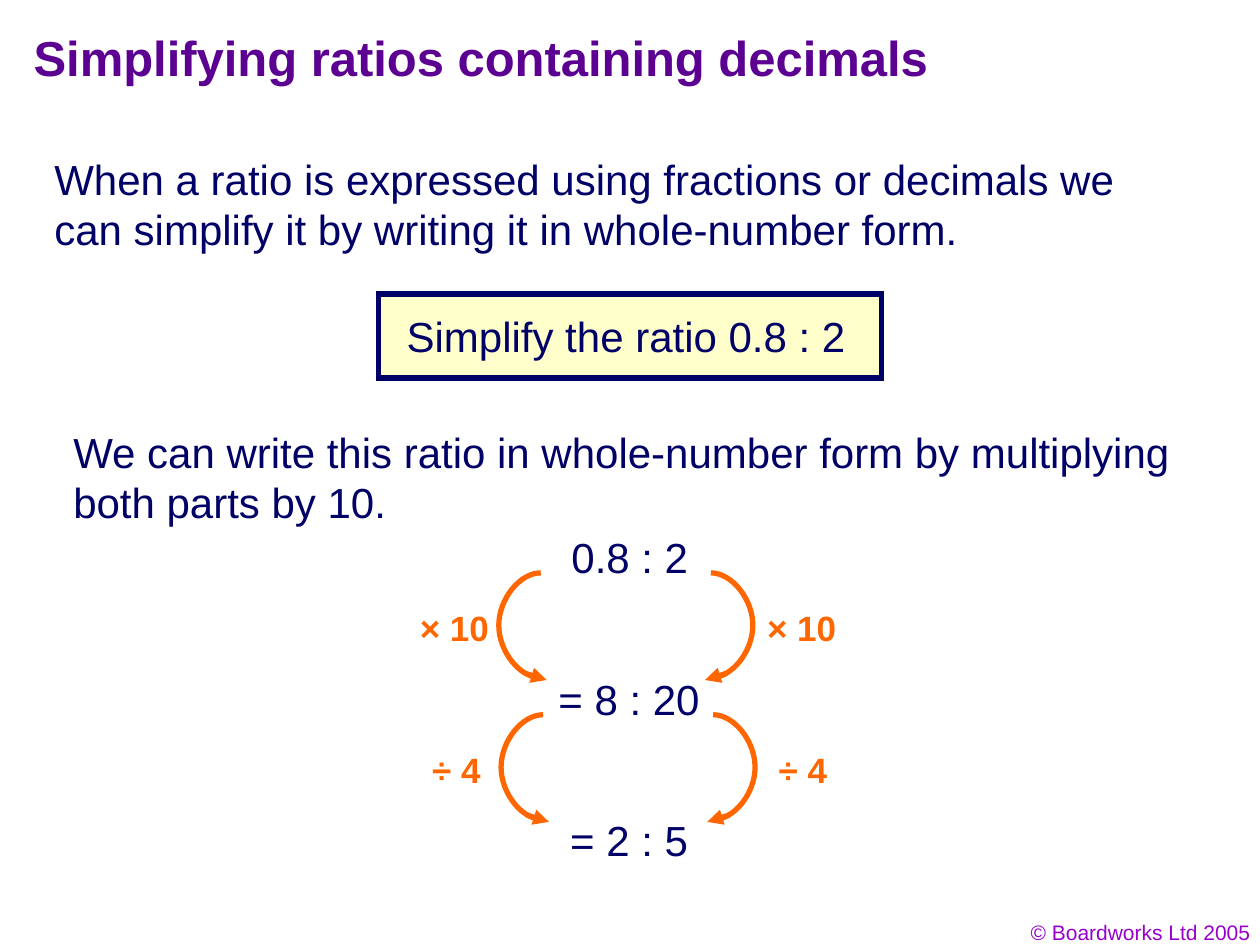
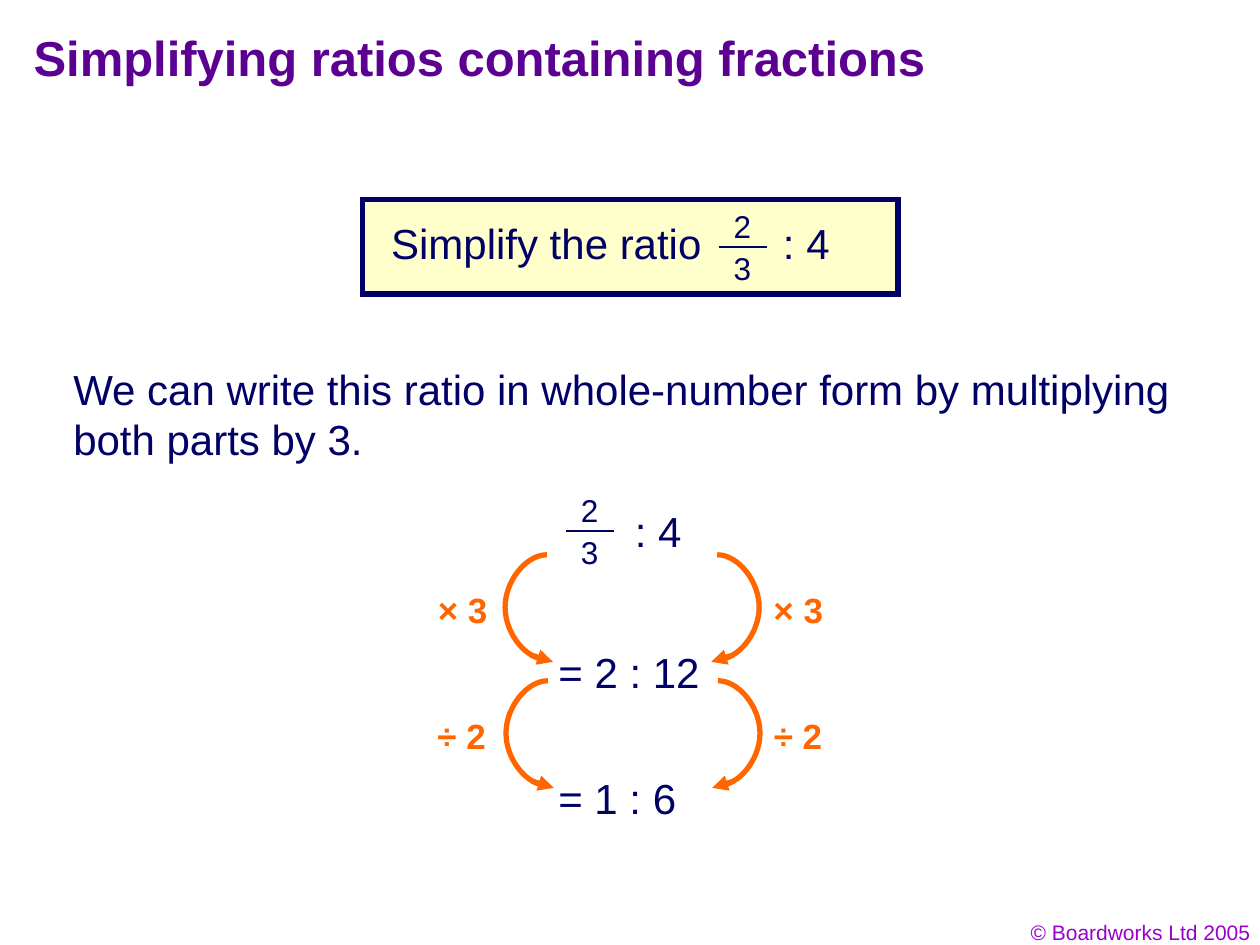
from lxml.etree import SubElement
from pptx import Presentation
from pptx.dml.color import RGBColor
from pptx.enum.shapes import MSO_CONNECTOR as Connector, MSO_SHAPE as Shape
from pptx.enum.text import MSO_ANCHOR as Anchor, MSO_AUTO_SIZE as AutoSize, PP_ALIGN as Align
from pptx.oxml.ns import qn
from pptx.util import Inches, Pt

# Shared look
FONT = "Arial"
PURPLE, VIOLET = "5B0091", "9900CC"
INK, NAVY = "010066", "000066"
CREAM, ORANGE = "FFFFCC", "FF6600"

# The slide is a grid of 100 columns by 75 rows
WIDTH, HEIGHT = Inches(10), Inches(7.5)
CELL = WIDTH / 100

# Arrow proportions, in cells
ARC_WIDTH, ARC_HEIGHT = 3.33, 8.33
ARC_GAP = 6.75  # from the middle of the pair to the open end of each arc
# Start, then two Bezier curves, as shares of the arc's width and height
ARC_POINTS = [(0, 0), (0.5, 0), (1, 0.25), (1, 0.5), (1, 0.75), (0.5, 1), (0, 1)]


def cells(*lengths):
    return [round(length * CELL) for length in lengths]


def rgb(colour):
    return RGBColor.from_string(colour)


def fill_text(frame, text, size=24, colour=INK, bold=False, align=Align.LEFT,
              wrap=True, tab=None):
    frame.auto_size = AutoSize.NONE
    frame.word_wrap = wrap
    frame.vertical_anchor = Anchor.TOP
    paragraph = frame.paragraphs[0]
    paragraph.text = text
    paragraph.alignment = align
    if tab:
        stops = SubElement(paragraph._p.get_or_add_pPr(), qn("a:tabLst"))
        SubElement(stops, qn("a:tab"), pos=str(cells(tab)[0]), algn="l")
    font = paragraph.font
    font.name, font.size, font.bold = FONT, Pt(size), bold
    font.color.rgb = rgb(colour)


def write(slide, text, box, **style):
    label = slide.shapes.add_textbox(*cells(*box))
    fill_text(label.text_frame, text, **style)
    return label


def outline(line, colour, width):
    line.color.rgb = rgb(colour)
    line.width = Pt(width)


def draw_line(slide, start, end, colour, width, arrow=False):
    line = slide.shapes.add_connector(Connector.STRAIGHT, *cells(*start, *end))
    outline(line.line, colour, width)
    if arrow:
        SubElement(line.line._get_or_add_ln(), qn("a:tailEnd"), type="triangle")
    SubElement(line._element.spPr, qn("a:effectLst"))


def add_footer(layout, slide):
    """Put the copyright line on the layout, where every slide shares it."""
    footer = write(slide, "© Boardworks Ltd 2005", (76.93, 72.5, 23.3, 3),
                   size=12, colour=VIOLET, align=Align.RIGHT)
    layout.shapes._spTree.append(footer._element)


def add_slide(deck, title):
    slide = deck.slides.add_slide(deck.slide_layouts[5])
    heading = slide.shapes.title
    heading.left, heading.top, heading.width, heading.height = cells(1.67, 1.67, 76.7, 6.7)
    fill_text(heading.text_frame, title, size=28, colour=PURPLE, bold=True)
    return slide


def cream_box(slide, box):
    panel = slide.shapes.add_shape(Shape.RECTANGLE, *cells(*box))
    panel.shadow.inherit = False
    panel.fill.solid()
    panel.fill.fore_color.rgb = rgb(CREAM)
    panel.line.fill.background()
    return panel


def question(slide, text, panel, text_box, tab=None):
    frame = cream_box(slide, panel)
    outline(frame.line, NAVY, 3)
    SubElement(frame.line._get_or_add_ln(), qn("a:miter"), lim="800000")
    fill_text(cream_box(slide, text_box).text_frame, text, colour=NAVY, tab=tab)


def fraction(slide, top_number, bottom_number, middle, bar, colour):
    for number, top in ((top_number, bar - 3.7), (bottom_number, bar - 0.35)):
        write(slide, number, (middle - 1.7, top, 3.4, 4),
              size=18, colour=colour, wrap=False)
    draw_line(slide, (middle - 1.9, bar), (middle + 1.9, bar), NAVY, 1.5)


def curved_arrow(slide, x, top, side):
    """Arc from (x, top) that bulges to its side (-1 left, 1 right)."""
    points = [cells(x + side * ARC_WIDTH * across, top + ARC_HEIGHT * down)
              for across, down in ARC_POINTS]
    builder = slide.shapes.build_freeform(*points[0])
    builder.add_line_segments(points[1:], close=False)
    arc = builder.convert_to_shape()
    # Turn each three straight segments into one Bezier curve
    outline_path = next(arc._element.iter(qn("a:path")))
    segments = outline_path.findall(qn("a:lnTo"))
    for first in range(0, len(segments), 3):
        curve = SubElement(outline_path, qn("a:cubicBezTo"))
        for segment in segments[first:first + 3]:
            curve.append(segment[0])
            outline_path.remove(segment)
    arc.shadow.inherit = False
    arc.fill.background()
    outline(arc.line, ORANGE, 3)
    draw_line(slide, (x + side * 1.3, top + 7.95), (x - side * 0.47, top + 8.5),
              ORANGE, 3, arrow=True)


def step(slide, operation, top, middle, label_middle, label_reach, label_width=5.8):
    """The same operation applied to both parts of a ratio."""
    for side in (-1, 1):
        curved_arrow(slide, middle + side * ARC_GAP, top, side)
        left = label_middle + side * label_reach - label_width / 2
        write(slide, operation, (left, top + 2.17, label_width, 4.4),
              size=20, colour=ORANGE, bold=True, wrap=False)


def ratio(slide, text, left, top, width):
    write(slide, text, (left, top, width, 5), wrap=False)


def decimals_slide(deck):
    slide = add_slide(deck, "Simplifying ratios containing decimals")
    add_footer(slide.slide_layout, slide)
    write(slide, "When a ratio is expressed using fractions or decimals we can "
                 "simplify it by writing it in whole-number form.", (3.33, 11.67, 91.8, 9))
    question(slide, "Simplify the ratio 0.8 : 2",
             (30.04, 23.33, 39.9, 6.67), (31.29, 24.15, 37.5, 5))
    write(slide, "We can write this ratio in whole-number form by multiplying "
                 "both parts by 10.", (4.83, 33.35, 95.2, 9))
    # Working
    ratio(slide, "0.8 : 2", 44.37, 41.67, 11.2)
    step(slide, "× 10", 45.47, 49.67, 49.86, 13.78, label_width=7.5)
    ratio(slide, "= 8 : 20", 43.33, 52.93, 13.2)
    step(slide, "÷ 4", 56.73, 49.85, 49.97, 13.75)
    ratio(slide, "= 2 : 5", 44.27, 64.17, 11.3)


def fractions_slide(deck):
    slide = add_slide(deck, "Simplifying ratios containing fractions")
    question(slide, "Simplify the ratio\t: 4",
             (28.77, 15.83, 42.5, 7.5), (30.06, 16.8, 39.9, 5), tab=31.1)
    fraction(slide, "2", "3", middle=58.94, bar=19.6, colour=NAVY)
    write(slide, "We can write this ratio in whole-number form by multiplying "
                 "both parts by 3.", (4.83, 28.35, 93.2, 9))
    # Working
    fraction(slide, "2", "3", middle=46.82, bar=42.15, colour=INK)
    ratio(slide, ": 4", 49.4, 39.6, 5.7)
    step(slide, "× 3", 44.03, 50.17, 49.98, 13.32)
    ratio(slide, "= 2 : 12", 43.33, 50.83, 13.2)
    step(slide, "÷ 2", 54.03, 50.24, 49.98, 13.35)
    ratio(slide, "= 1 : 6", 43.33, 60.83, 11.3)


def main():
    deck = Presentation()
    deck.slide_width, deck.slide_height = WIDTH, HEIGHT
    decimals_slide(deck)
    fractions_slide(deck)
    deck.save("out.pptx")


if __name__ == "__main__":
    main()
